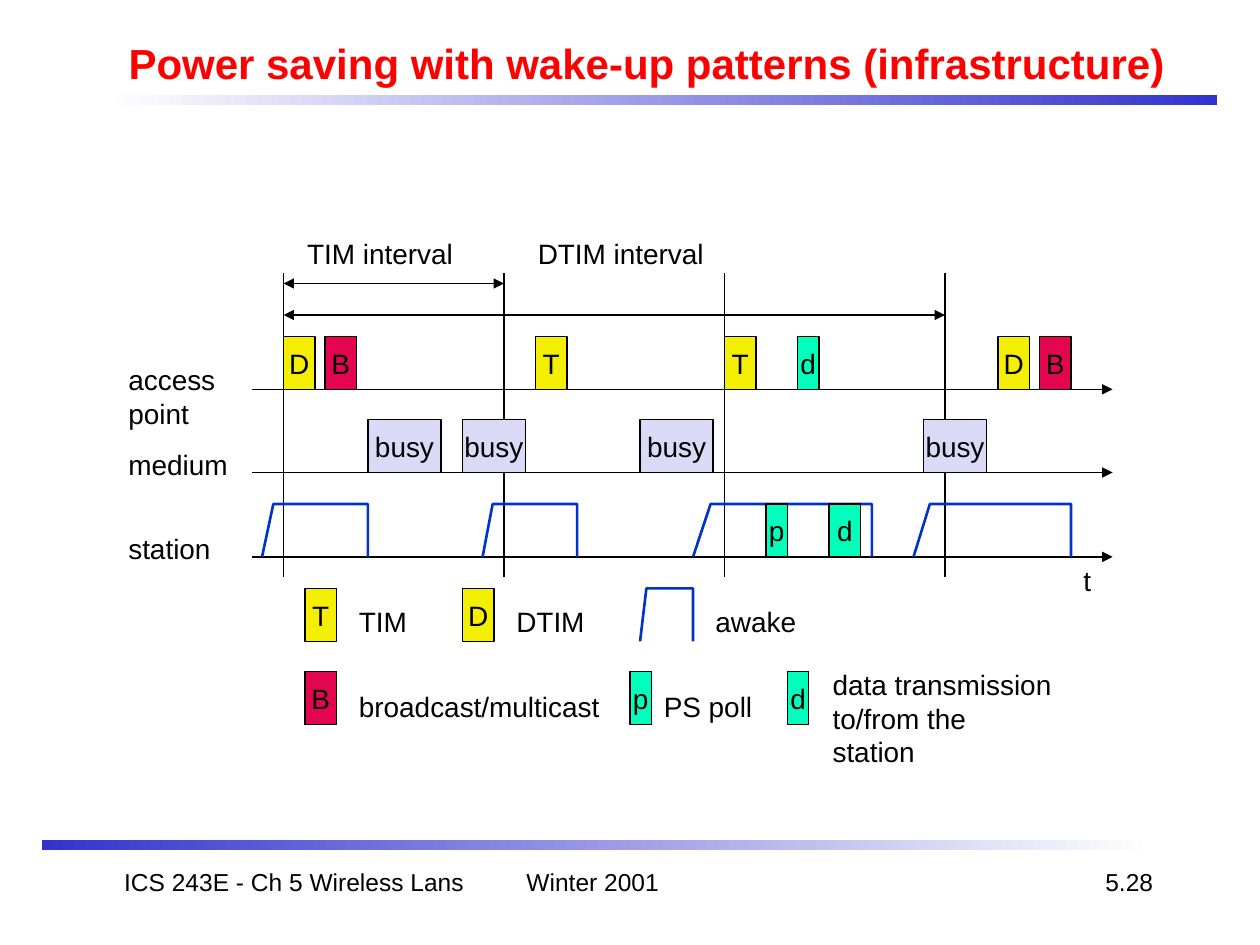
from typing import NamedTuple

from lxml import etree
from pptx import Presentation
from pptx import util as u
from pptx.dml.color import RGBColor
from pptx.enum import shapes, text
from pptx.oxml import ns

BLACK = RGBColor(0x00, 0x00, 0x00)
WHITE = RGBColor(0xFF, 0xFF, 0xFF)
RED = RGBColor(0xFF, 0x00, 0x00)
BAR_BLUE = RGBColor(0x33, 0x33, 0xCC)
WAVE_BLUE = RGBColor(0x00, 0x33, 0xCC)
YELLOW = RGBColor(0xF4, 0xEE, 0x00)
CRIMSON = RGBColor(0xE3, 0x05, 0x4F)
MINT = RGBColor(0x01, 0xFF, 0xBC)
LILAC = RGBColor(0xDA, 0xDA, 0xF6)

FONT = "Arial"
BLOCK_HEIGHT = 0.42
ACCESS_POINT, MEDIUM, STATION = 2.67, 3.33, 4.0
LEGEND_TOP, LEGEND_BOTTOM = 4.67, 5.33
BEACONS = [2.25 + 1.75 * step for step in range(4)]


class Block(NamedTuple):
    label: str
    left: float
    top: float
    width: float
    color: RGBColor


class Label(NamedTuple):
    words: str
    left: float
    top: float
    width: float
    height: float = 0.37
    size: int = 16
    align: text.PP_ALIGN = text.PP_ALIGN.LEFT
    wrap: bool = False


class Wave(NamedTuple):
    left: float
    crest: float
    right: float
    top: float = STATION


class Line(NamedTuple):
    x1: float
    y1: float
    x2: float
    y2: float
    arrows: tuple[str, ...] = ()


class Bar(NamedTuple):
    left: float
    top: float
    start: RGBColor
    end: RGBColor


BARS = [
    Bar(0.83, 0.75, WHITE, BAR_BLUE),
    Bar(0.33, 6.67, BAR_BLUE, WHITE),
]

LINES = [
    *(Line(2, top + BLOCK_HEIGHT, 8.83, top + BLOCK_HEIGHT, ("tailEnd",))
      for top in (ACCESS_POINT, MEDIUM, STATION)),
    *(Line(x, 2.17, x, 4.58) for x in BEACONS),
    Line(BEACONS[0], 2.25, BEACONS[1], 2.25, ("headEnd", "tailEnd")),
    Line(BEACONS[0], 2.5, BEACONS[3], 2.5, ("headEnd", "tailEnd")),
]

WAVES = [
    Wave(2.08, 2.17, 2.92),
    Wave(3.83, 3.91, 4.58),
    Wave(5.5, 5.64, 6.92),
    Wave(7.25, 7.38, 8.5),
]

BLOCKS = [
    *(Block("busy", left, MEDIUM, width, LILAC)
      for left, width in ((2.92, 0.58), (3.67, 0.5), (5.08, 0.58), (7.33, 0.5))),
    *(Block(label, left, ACCESS_POINT, 0.25, YELLOW)
      for label, left in (("D", 2.25), ("T", 4.25), ("T", 5.75), ("D", 7.92))),
    *(Block("B", left, ACCESS_POINT, 0.25, CRIMSON) for left in (2.58, 8.25)),
    Block("d", 6.33, ACCESS_POINT, 0.17, MINT),
    Block("p", 6.08, STATION, 0.17, MINT),
    Block("d", 6.58, STATION, 0.25, MINT),
]

LABELS = [
    Label("TIM interval", 2.34, 1.83, 1.36),
    Label("DTIM interval", 4.17, 1.83, 1.52),
    Label("access\npoint", 0.92, 2.83, 0.89, 0.64),
    Label("medium", 0.92, 3.5, 0.99),
    Label("station", 0.92, 4.17, 0.85),
    Label("t", 8.5, 4.42, 0.26),
    Label("ICS 243E - Ch 5 Wireless Lans", 0.75, 6.83, 3.17, 0.5, 14, text.PP_ALIGN.CENTER, True),
    Label("Winter 2001", 4.08, 6.83, 2.08, 0.5, 14, wrap=True),
    Label("5.28", 7.17, 6.83, 2.08, 0.5, 14, text.PP_ALIGN.RIGHT, True),
]

LEGEND = [
    (Block("T", 2.42, LEGEND_TOP, 0.25, YELLOW), Label("TIM", 2.75, 4.75, 0.58)),
    (Block("D", 3.67, LEGEND_TOP, 0.25, YELLOW), Label("DTIM", 4, 4.75, 0.74)),
    (Wave(5.08, 5.13, 5.5, LEGEND_TOP), Label("awake", 5.58, 4.75, 0.84)),
    (Block("B", 2.42, LEGEND_BOTTOM, 0.25, CRIMSON),
     Label("broadcast/multicast", 2.75, 5.42, 2.11)),
    (Block("p", 5, LEGEND_BOTTOM, 0.17, MINT), Label("PS poll", 5.17, 5.42, 0.9)),
    (Block("d", 6.25, LEGEND_BOTTOM, 0.17, MINT),
     Label("data transmission\nto/from the station", 6.51, 5.25, 1.97, 0.64)),
]


def write(frame, words: str, size: int, align: text.PP_ALIGN, color: RGBColor = BLACK) -> None:
    frame.text = words
    for para in frame.paragraphs:
        para.alignment = align
        para.font.name = FONT
        para.font.size = u.Pt(size)
        para.font.color.rgb = color


def draw_bar(canvas, bar: Bar) -> None:
    shape = canvas.add_shape(shapes.MSO_SHAPE.RECTANGLE, u.Inches(bar.left), u.Inches(bar.top),
                             u.Inches(8.83), u.Inches(0.08))
    shape.shadow.inherit = False
    shape.line.fill.background()
    shape.fill.gradient()
    shape.fill.gradient_angle = 0
    for stop, color in zip(shape.fill.gradient_stops, (bar.start, bar.end)):
        stop.color.rgb = color


def draw_line(canvas, line: Line) -> None:
    connector = canvas.add_connector(shapes.MSO_CONNECTOR.STRAIGHT, u.Inches(line.x1),
                                     u.Inches(line.y1), u.Inches(line.x2), u.Inches(line.y2))
    connector.line.color.rgb = BLACK
    connector.line.width = u.Pt(0.75)
    outline = connector.line._get_or_add_ln()
    for arrow in line.arrows:
        etree.SubElement(outline, ns.qn(f"a:{arrow}"), type="triangle")
    etree.SubElement(connector._element.spPr, ns.qn("a:effectLst"))


def draw_block(canvas, block: Block) -> None:
    shape = canvas.add_shape(shapes.MSO_SHAPE.RECTANGLE, u.Inches(block.left),
                             u.Inches(block.top), u.Inches(block.width), u.Inches(BLOCK_HEIGHT))
    shape.shadow.inherit = False
    shape.fill.solid()
    shape.fill.fore_color.rgb = block.color
    shape.line.color.rgb = BLACK
    shape.line.width = u.Pt(0.75)
    frame = shape.text_frame
    frame.word_wrap = False
    frame.vertical_anchor = text.MSO_ANCHOR.MIDDLE
    write(frame, block.label, 16, text.PP_ALIGN.CENTER)


def draw_wave(canvas, wave: Wave) -> None:
    base = u.Inches(wave.top + BLOCK_HEIGHT)
    top, right = u.Inches(wave.top), u.Inches(wave.right)
    builder = canvas.build_freeform(u.Inches(wave.left), base)
    builder.add_line_segments([(u.Inches(wave.crest), top), (right, top), (right, base)], close=False)
    shape = builder.convert_to_shape()
    shape.shadow.inherit = False
    shape.fill.background()
    shape.line.color.rgb = WAVE_BLUE
    shape.line.width = u.Pt(1.5)


def draw_label(canvas, label: Label) -> None:
    box = canvas.add_textbox(u.Inches(label.left), u.Inches(label.top),
                             u.Inches(label.width), u.Inches(label.height))
    box.text_frame.word_wrap = label.wrap
    write(box.text_frame, label.words, label.size, label.align)


def draw_title(title) -> None:
    title.left, title.top = u.Inches(0.92), u.Inches(0.25)
    title.width, title.height = u.Inches(8.5), u.Inches(0.5)
    frame = title.text_frame
    frame.auto_size = text.MSO_AUTO_SIZE.NONE
    frame.vertical_anchor = text.MSO_ANCHOR.MIDDLE
    write(frame, "Power saving with wake-up patterns (infrastructure)", 24, text.PP_ALIGN.LEFT, RED)
    frame.paragraphs[0].font.bold = True


def main() -> None:
    deck = Presentation()
    deck.slide_width, deck.slide_height = u.Inches(10), u.Inches(7.5)
    page = deck.slides.add_slide(deck.slide_layouts[5])
    draw_title(page.shapes.title)
    for items, draw in ((BARS, draw_bar), (LINES, draw_line), (WAVES, draw_wave),
                        (BLOCKS, draw_block), (LABELS, draw_label)):
        for item in items:
            draw(page.shapes, item)
    for symbol, label in LEGEND:
        group = page.shapes.add_group_shape().shapes
        draw_symbol = draw_wave if isinstance(symbol, Wave) else draw_block
        draw_symbol(group, symbol)
        draw_label(group, label)
    deck.save("out.pptx")


if __name__ == "__main__":
    main()
